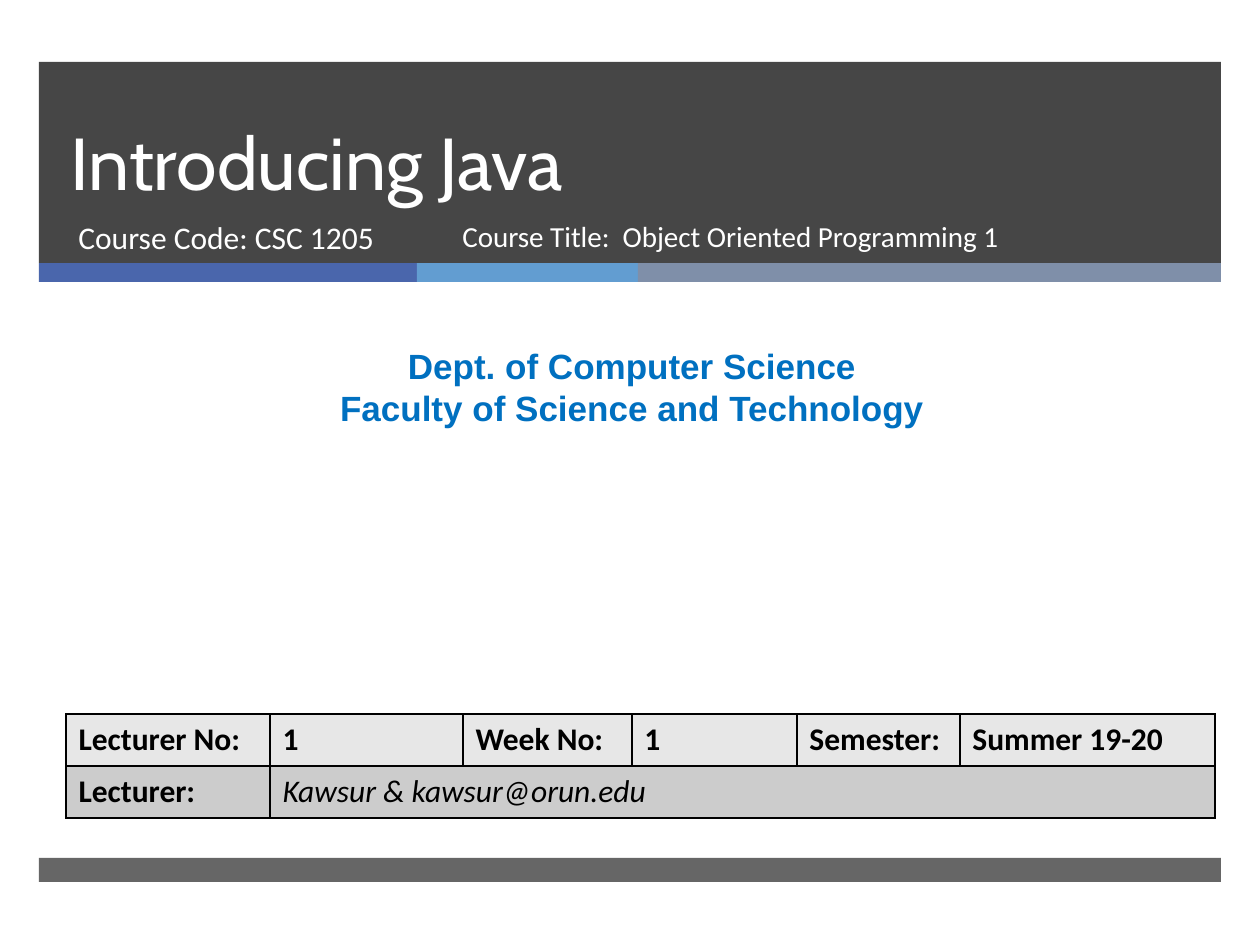
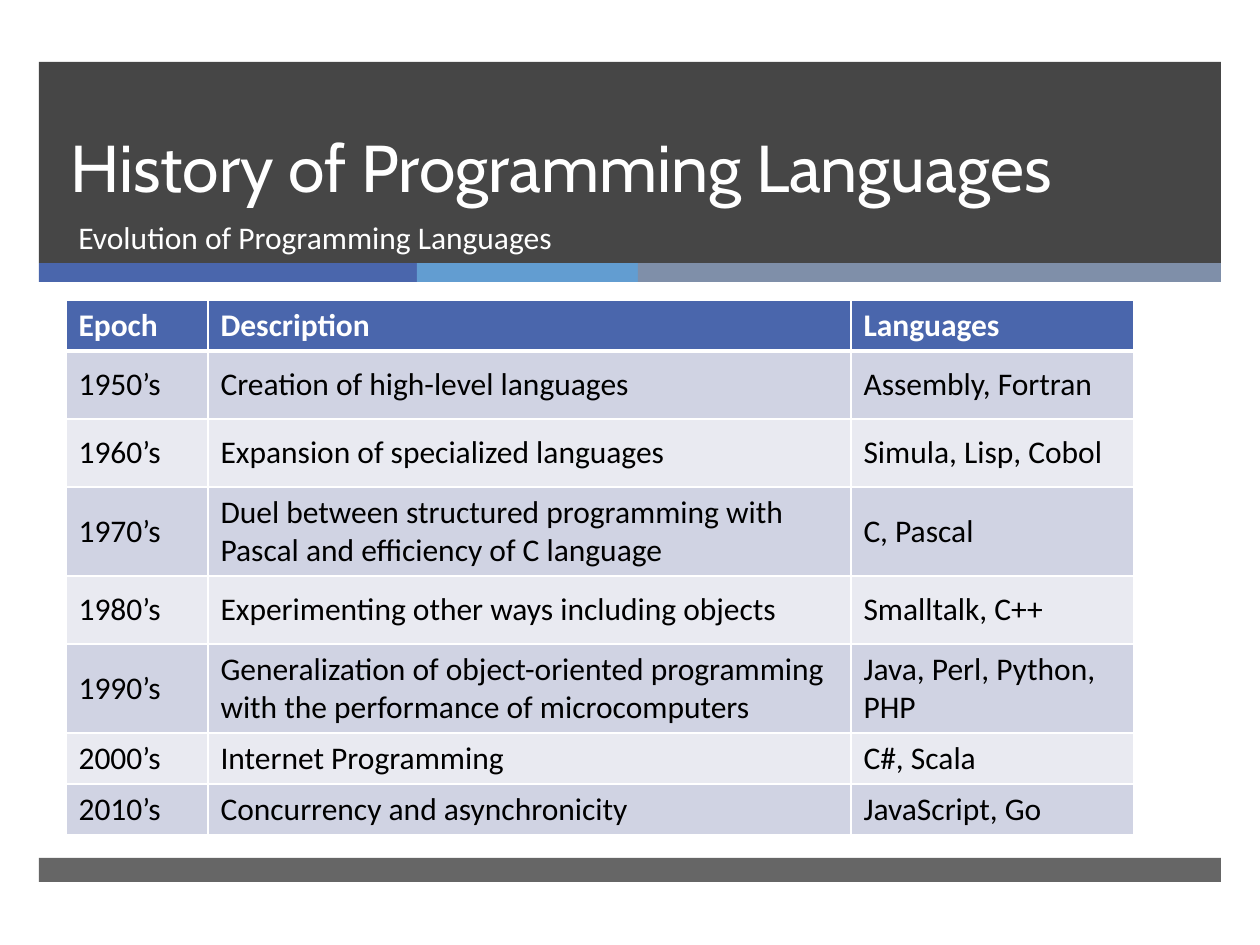
import itertools

import pptx
import pptx.dml.color
import pptx.enum.shapes
import pptx.enum.text
import pptx.oxml
import pptx.oxml.ns
import pptx.util

ALIGN = pptx.enum.text.PP_ALIGN
ANCHOR = pptx.enum.text.MSO_ANCHOR

PX_PER_INCH = 126
INK, WHITE, BLACK = "262626", "FFFFFF", "000000"
INDIGO, SKY, SLATE = "4A66AC", "629DD1", "7F8FA9"
DEPARTMENT_BLUE = "0070C0"
INFO_ROWS = ("E7E7E7", "CCCCCC")
HISTORY_ROWS = ("D0D3E3", "E9EAF1")
TITLE_FONT, BODY_FONT, DEPARTMENT_FONT = "Cabin", "Calibri", "Arial"

# Boxes are left, top, width, height in px
HEADER = (39, 62, 1182, 201)
STRIPES = (39, 263, 1182, 19)
FOOTER = (39, 858, 1182, 24)
DEPARTMENT = (10, 338, 1244, 97)


def px(length):
    return pptx.util.Emu(round(length * 914400 / PX_PER_INCH))


def box_of(*lengths):
    return [px(length) for length in lengths]


def rgb(colour):
    return pptx.dml.color.RGBColor.from_string(colour)


def write(frame, text, font=BODY_FONT, size=18, colour=BLACK, bold=False,
          italic=False, align=ALIGN.LEFT, anchor=ANCHOR.TOP, leading=None):
    """Fill a text frame, one paragraph for each line of text."""
    frame.word_wrap = True
    frame.vertical_anchor = anchor
    frame.text = text
    for paragraph in frame.paragraphs:
        paragraph.alignment = align
        if leading:
            paragraph.line_spacing = pptx.util.Pt(leading)
        for run in paragraph.runs:
            run.font.name = font
            run.font.size = pptx.util.Pt(size)
            run.font.color.rgb = rgb(colour)
            run.font.bold = bold
            run.font.italic = italic


def add_text(slide, box, text, **style):
    write(slide.shapes.add_textbox(*box_of(*box)).text_frame, text, **style)


def add_band(slide, box, colour, opacity=100):
    band = slide.shapes.add_shape(
        pptx.enum.shapes.MSO_SHAPE.RECTANGLE, *box_of(*box))
    band.shadow.inherit = False
    band.line.fill.background()
    band.fill.solid()
    band.fill.fore_color.rgb = rgb(colour)
    if opacity < 100:
        fill_colour = band.element.find(".//" + pptx.oxml.ns.qn("a:srgbClr"))
        fill_colour.append(pptx.oxml.parse_xml(
            f'<a:alpha {pptx.oxml.ns.nsdecls("a")} val="{opacity * 1000}"/>'))


def add_frame(slide):
    """Header, coloured stripes and footer bar."""
    add_band(slide, HEADER, INK, opacity=85)
    left, top, width, height = STRIPES
    widths = (378, 221, width - 378 - 221)
    offsets = itertools.accumulate(widths, initial=0)
    for offset, part, colour in zip(offsets, widths, (INDIGO, SKY, SLATE)):
        add_band(slide, (left + offset, top, part, height), colour)
    add_band(slide, FOOTER, INK, opacity=70)


def add_heading(slide, box, title, size, subtitles):
    """Title and, on the line below, (offset, width, size, text) subtitles."""
    left, top, width, height = box
    heading = slide.shapes.title
    heading.left, heading.top, heading.width, heading.height = box_of(
        left + 19, top, 1076, 150)
    heading.text_frame.auto_size = pptx.enum.text.MSO_AUTO_SIZE.NONE
    write(heading.text_frame, title, font=TITLE_FONT, size=size,
          colour=WHITE, anchor=ANCHOR.BOTTOM, leading=46)
    # Bring the title in front of the header band
    slide.shapes.element.append(heading.element)
    for offset, line_width, line_size, text in subtitles:
        add_text(slide, (left + offset, top + 150, line_width, 67), text,
                 size=line_size, colour=WHITE)


def add_slide(deck, title, size, subtitles):
    slide = deck.slides.add_slide(deck.slide_layouts[5])
    add_frame(slide)
    add_heading(slide, HEADER, title, size, subtitles)
    return slide


def set_borders(cell, colour, bottom=1):
    properties = cell._tc.get_or_add_tcPr()
    for side, points in (("L", 1), ("R", 1), ("T", 1), ("B", bottom)):
        properties.append(pptx.oxml.parse_xml(
            f'<a:ln{side} {pptx.oxml.ns.nsdecls("a")} w="{points * 12700}">'
            f'<a:solidFill><a:srgbClr val="{colour}"/></a:solidFill>'
            f'</a:ln{side}>'))


def paint_cell(cell, colour):
    cell.fill.solid()
    cell.fill.fore_color.rgb = rgb(colour)


def add_grid(slide, left, top, widths, heights):
    """Unstyled table with the given column widths and row heights."""
    grid = slide.shapes.add_table(
        len(heights), len(widths),
        *box_of(left, top, sum(widths), sum(heights))).table
    grid.first_row = grid.horz_banding = False
    for column, width in zip(grid.columns, widths):
        column.width = px(width)
    for row, height in zip(grid.rows, heights):
        row.height = px(height)
    return grid


def add_lecture_info(slide, left, top):
    info = add_grid(slide, left, top, (204, 193, 169, 165, 163, 255), (52, 52))
    for row, fill in zip(info.rows, INFO_ROWS):
        for cell in row.cells:
            set_borders(cell, BLACK)
            paint_cell(cell, fill)
    labels = ("Lecturer No:", "1", "Week No:", "1", "Semester:",
              "Summer 19-20")
    for column, label in enumerate(labels):
        write(info.cell(0, column).text_frame, label, bold=True)
    write(info.cell(1, 0).text_frame, "Lecturer:", bold=True)
    lecturer = info.cell(1, 1)
    lecturer.merge(info.cell(1, 5))
    write(lecturer.text_frame, "Kawsur & kawsur@orun.edu", italic=True)


def add_history(slide, left, top):
    epochs = (
        ("Epoch", "Description", "Languages"),
        ("1950’s", "Creation of high-level languages", "Assembly, Fortran"),
        ("1960’s", "Expansion of specialized languages",
         "Simula, Lisp, Cobol"),
        ("1970’s", "Duel between structured programming with Pascal and "
         "efficiency of C language", "C, Pascal"),
        ("1980’s", "Experimenting other ways including objects",
         "Smalltalk, C++"),
        ("1990’s", "Generalization of object-oriented programming with the "
         "performance of microcomputers", "Java, Perl, Python, PHP"),
        ("2000’s", "Internet Programming", "C#, Scala"),
        ("2010’s", "Concurrency and asynchronicity", "JavaScript, Go"),
    )
    history = add_grid(slide, left, top, (142, 643, 283),
                       (51, 68, 68, 89, 68, 89, 51, 51))
    for number, (row, epoch) in enumerate(zip(history.rows, epochs)):
        is_header = number == 0
        fill = INDIGO if is_header else HISTORY_ROWS[(number - 1) % 2]
        for cell, text in zip(row.cells, epoch):
            set_borders(cell, WHITE, bottom=3 if is_header else 1)
            paint_cell(cell, fill)
            write(cell.text_frame, text, bold=is_header,
                  colour=WHITE if is_header else BLACK)
            cell.vertical_anchor = ANCHOR.MIDDLE


def add_opening_slide(deck):
    slide = add_slide(deck, "Introducing Java", 42, (
        (27, 384, 18, "Course Code: CSC 1205"),
        (411, 581, 16.6, "Course Title:  Object Oriented Programming 1")))
    add_text(slide, DEPARTMENT,
             "Dept. of Computer Science\nFaculty of Science and Technology",
             font=DEPARTMENT_FONT, size=20, colour=DEPARTMENT_BLUE, bold=True,
             align=ALIGN.CENTER)
    add_lecture_info(slide, 66, 714)


def add_history_slide(deck):
    slide = add_slide(deck, "History of Programming Languages", 37.8, (
        (27, 1068, 18, "Evolution of Programming Languages"),))
    add_history(slide, 66, 300)


def main():
    deck = pptx.Presentation()
    deck.slide_width, deck.slide_height = box_of(1260, 945)
    add_opening_slide(deck)
    add_history_slide(deck)
    deck.save("out.pptx")


if __name__ == "__main__":
    main()
